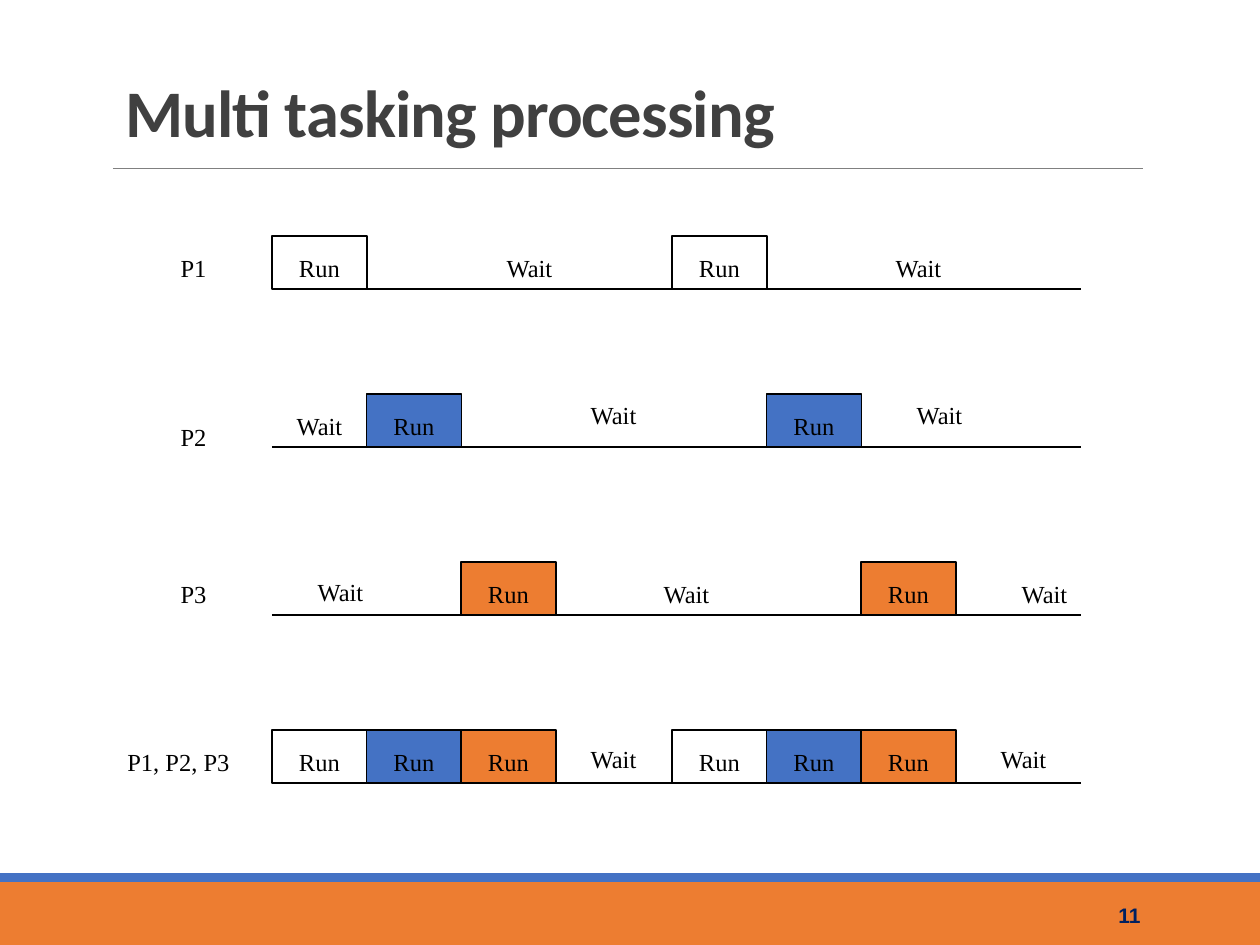
from pptx import Presentation
from pptx import util as u
from pptx.dml.color import RGBColor
from pptx.enum import shapes, text
from pptx.oxml.ns import qn
from lxml import etree

SCALE = u.Inches(1) / 126
BLACK = RGBColor(0x00, 0x00, 0x00)
GRAY = RGBColor(0x80, 0x80, 0x80)
CHARCOAL = RGBColor(0x40, 0x40, 0x40)
NAVY = RGBColor(0x00, 0x20, 0x60)
BLUE = RGBColor(0x44, 0x72, 0xC4)
ORANGE = RGBColor(0xED, 0x7D, 0x31)

BOX_WIDTH, BOX_HEIGHT = 95, 53
LABEL_WIDTH, LABEL_HEIGHT = 73, 42
LINE_LEFT, LINE_RIGHT = 272, 1081
CYCLE_STARTS = (272, 672)
SLOT_STEP = 94.5
SLOT_COLORS = (None, BLUE, ORANGE)


def emu(*pixels):
    return [u.Emu(round(value * SCALE)) for value in pixels]


def add_text(words, *, left, top, width=LABEL_WIDTH, height=LABEL_HEIGHT, size=14,
             font="Times New Roman", color=BLACK, bold=False, before=1, line_spacing=None,
             align=text.PP_ALIGN.CENTER, anchor=text.MSO_ANCHOR.TOP, spacing=None):
    frame = slide.shapes.add_textbox(*emu(left, top, width, height)).text_frame
    frame.word_wrap = True
    frame.vertical_anchor = anchor
    paragraph = frame.paragraphs[0]
    paragraph.alignment = align
    paragraph.space_before = u.Pt(before)
    paragraph.line_spacing = line_spacing
    run = paragraph.add_run()
    run.text = words
    run.font.name = font
    run.font.size = u.Pt(size)
    run.font.bold = bold
    run.font.color.rgb = color
    if spacing is not None:
        run.font._element.set("spc", str(round(spacing * 100)))


presentation = Presentation()
presentation.slide_width, presentation.slide_height = emu(1260, 945)
slide = presentation.slides.add_slide(presentation.slide_layouts[6])

for top, height, color in ((882, 63, ORANGE), (873, 9, BLUE)):
    band = slide.shapes.add_shape(shapes.MSO_SHAPE.RECTANGLE, *emu(0, top, 1260, height))
    band.shadow.inherit = False
    band.fill.solid()
    band.fill.fore_color.rgb = color
    band.line.fill.background()

add_text("Multi tasking processing", left=113, top=39, width=1092, height=118, size=38,
         font="Calibri", color=CHARCOAL, bold=True, before=0, line_spacing=0.85,
         align=text.PP_ALIGN.LEFT, anchor=text.MSO_ANCHOR.BOTTOM, spacing=-0.5)
add_text("11", left=1056, top=890, width=97, height=50, size=12, font="Arial",
         color=NAVY, bold=True, before=0, align=text.PP_ALIGN.RIGHT,
         anchor=text.MSO_ANCHOR.MIDDLE)

rows = (
    ("P1", 157, 247, 73, 289, (0,), ((493, 247), (882, 247))),
    ("P2", 157, 416, 73, 447, (1,), ((283, 405), (577, 394), (903, 394))),
    ("P3", 157, 573, 73, 615, (2,), ((304, 571), (650, 573), (1008, 573))),
    ("P1, P2, P3", 105, 741, 147, 783, (0, 1, 2), ((577, 738), (987, 738))),
)

rules = [(113, 1143, 168, GRAY, 0.5)]
for name, name_left, name_top, name_width, baseline, slots, waits in rows:
    rules.append((LINE_LEFT, LINE_RIGHT, baseline, BLACK, 1))
    add_text(name, left=name_left, top=name_top, width=name_width)
    box_top = baseline - BOX_HEIGHT
    for start in CYCLE_STARTS:
        for slot in slots:
            box_left = start + slot * SLOT_STEP
            box = slide.shapes.add_shape(
                shapes.MSO_SHAPE.RECTANGLE, *emu(box_left, box_top, BOX_WIDTH, BOX_HEIGHT))
            box.shadow.inherit = False
            if SLOT_COLORS[slot] is None:
                box.fill.background()
            else:
                box.fill.solid()
                box.fill.fore_color.rgb = SLOT_COLORS[slot]
            box.line.color.rgb = BLACK
            box.line.width = u.Pt(1)
            add_text("Run", left=box_left + 11, top=box_top + 11)
    for wait_left, wait_top in waits:
        add_text("Wait", left=wait_left, top=wait_top)

for left, right, y, color, width in rules:
    line = slide.shapes.add_connector(shapes.MSO_CONNECTOR.STRAIGHT, *emu(left, y, right, y))
    line.line.color.rgb = color
    line.line.width = u.Pt(width)
    etree.SubElement(line._element.spPr, qn("a:effectLst"))

presentation.save("out.pptx")
